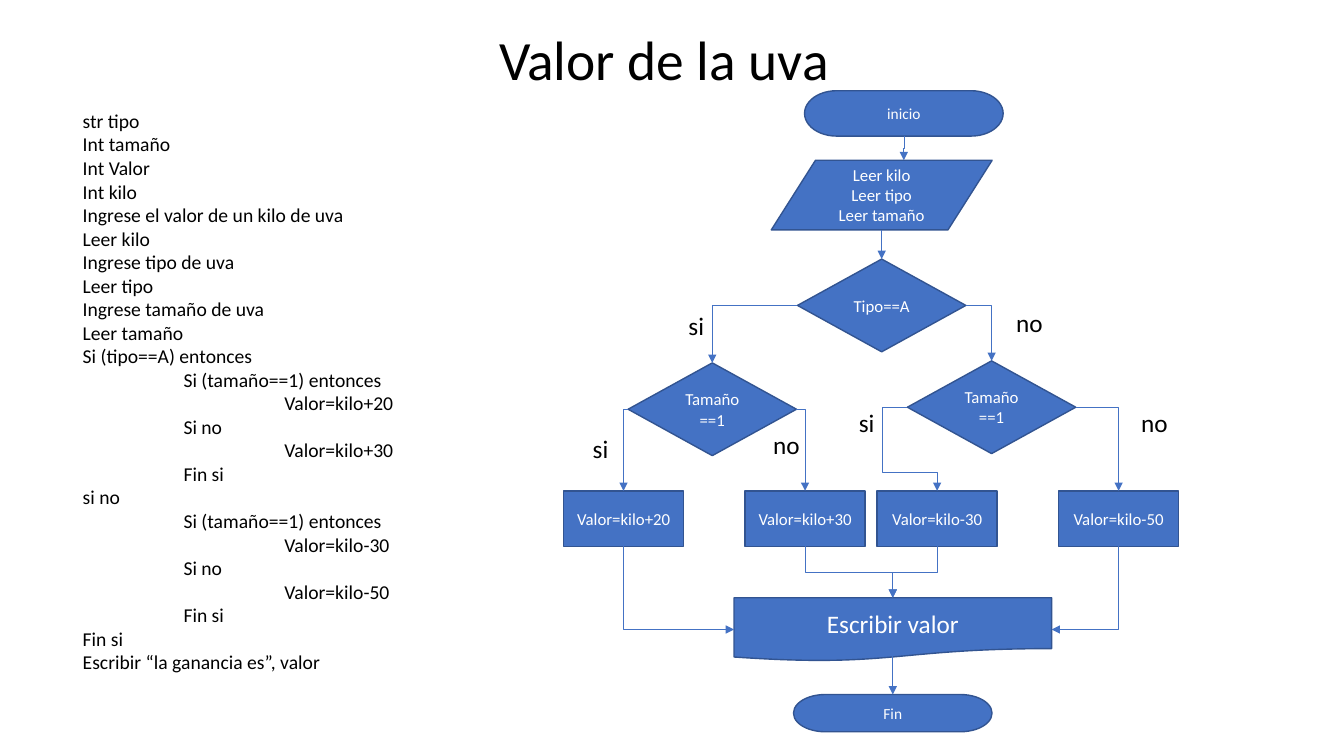
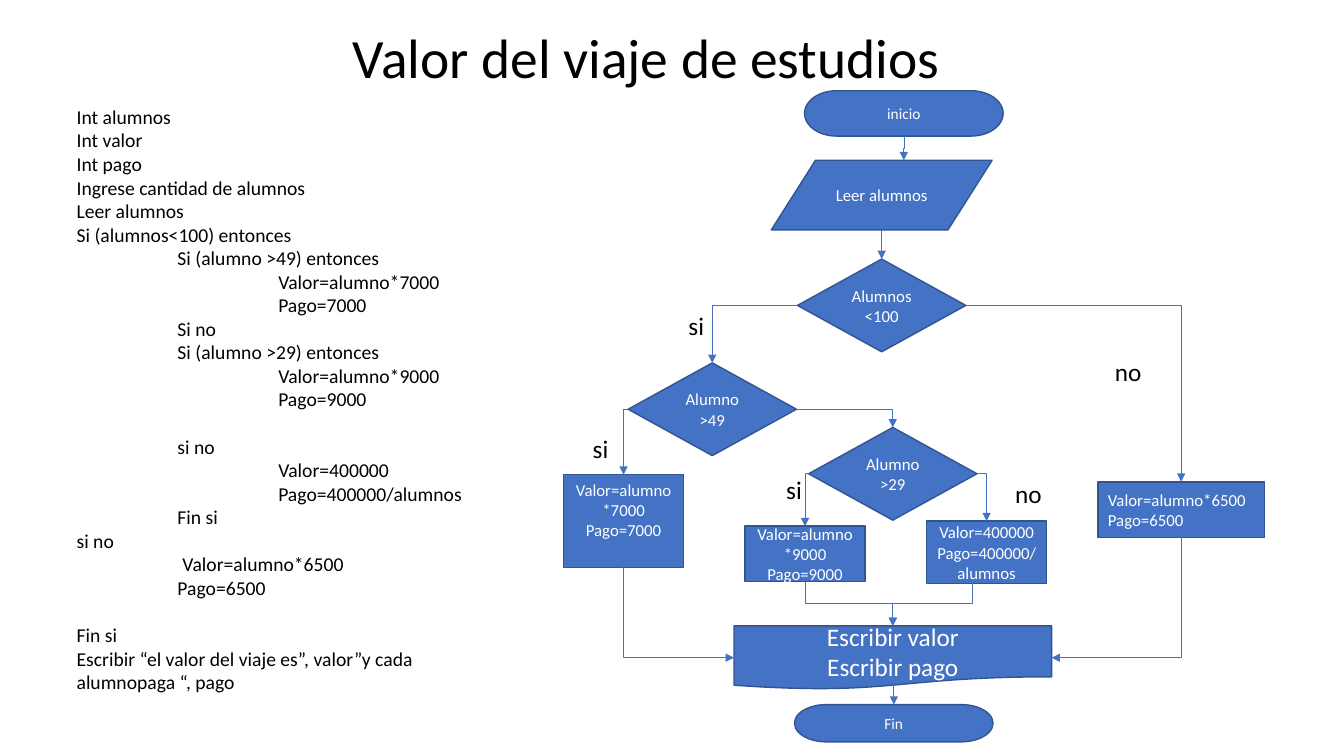
import dataclasses

import lxml.etree
import pptx
import pptx.dml.color
import pptx.enum.shapes
import pptx.enum.text
import pptx.oxml.ns
import pptx.util

Inches = pptx.util.Inches
Pt = pptx.util.Pt
RGB = pptx.dml.color.RGBColor
qn = pptx.oxml.ns.qn
SHAPE = pptx.enum.shapes.MSO_SHAPE
CONNECTOR = pptx.enum.shapes.MSO_CONNECTOR
ALIGN = pptx.enum.text.PP_ALIGN
ANCHOR = pptx.enum.text.MSO_ANCHOR
FIT = pptx.enum.text.MSO_AUTO_SIZE


@dataclasses.dataclass(frozen=True)
class Theme:
    font: str = "Calibri"
    ink: RGB = RGB(0, 0, 0)
    paper: RGB = RGB(255, 255, 255)
    fill: RGB = RGB.from_string("4472C4")
    edge: RGB = RGB.from_string("325491")
    title: float = 39.6
    code: float = 14
    label: float = 18
    edge_width: float = 1
    arrow_width: float = 0.5


theme = Theme()

kinds = {
    "start": (SHAPE.FLOWCHART_TERMINATOR, 1.97, 0.45, 11),
    "end": (SHAPE.FLOWCHART_TERMINATOR, 1.97, 0.37, 11),
    "input": (SHAPE.FLOWCHART_DATA, 2.19, 0.69, 12),
    "decision": (SHAPE.FLOWCHART_DECISION, 1.67, 0.92, 12),
    "process": (SHAPE.FLOWCHART_PROCESS, 1.19, 0.55, 12),
    "output": (SHAPE.FLOWCHART_DOCUMENT, 3.15, 0.63, 18),
}
sites = {
    "top": (0.5, 0), "left": (0, 0.5), "bottom": (0.5, 1), "right": (1, 0.5),
    "slant top": (0.6, 0), "wave": (0.5, 0.92), "lower": (0.38, 0.97),
}
presets = {"corner": "bentConnector2", "drop": "bentConnector2",
           "step": "bentConnector3", "detour": "bentConnector4"}
detour_bends = {"adj1": -84700, "adj2": 77600}

shared_links = [
    ("start", "bottom", "read", "slant top", "step"),
    ("read", "bottom", "first", "top", "straight"),
    ("first", "left", "second", "top", "corner"),
    ("second", "left", "far left", "top", "corner"),
    ("far left", "bottom", "write", "left", "drop"),
    ("far right", "bottom", "write", "right", "drop"),
    ("mid left", "bottom", "write", "top", "step"),
    ("write", "wave", "end", "top", "step"),
]

slides = [
    {
        "title": ("Valor de la uva", 4.85, 0.4, 3.64, 0.45),
        "code_at": (0.72, 1.03, 3.81, 6.24),
        "code": [
            (0, "str tipo"), (0, "Int tamaño"), (0, "Int Valor"), (0, "Int kilo"),
            (0, "Ingrese el valor de un kilo de uva"), (0, "Leer kilo"),
            (0, "Ingrese tipo de uva"), (0, "Leer tipo"),
            (0, "Ingrese tamaño de uva"), (0, "Leer tamaño"),
            (0, "Si (tipo==A) entonces"),
            (1, "Si (tamaño==1) entonces"), (2, "Valor=kilo+20"),
            (1, "Si no"), (2, "Valor=kilo+30"), (1, "Fin si"),
            (0, "si no"),
            (1, "Si (tamaño==1) entonces"), (2, "Valor=kilo-30"),
            (1, "Si no"), (2, "Valor=kilo-50"), (1, "Fin si"),
            (0, "Fin si"), (0, "Escribir “la ganancia es”, valor"),
        ],
        "nodes": {
            "start": ("start", 7.98, 0.9, ["inicio"], {}),
            "read": ("input", 7.65, 1.59, ["Leer kilo", "Leer tipo", "Leer tamaño"], {}),
            "first": ("decision", 7.91, 2.57, ["Tipo==A"], {}),
            "second": ("decision", 6.23, 3.6, ["Tamaño ==1"], {}),
            "third": ("decision", 9, 3.58, ["Tamaño ==1"], {}),
            "far left": ("process", 5.59, 4.87, ["Valor=kilo+20"], {}),
            "mid left": ("process", 7.39, 4.87, ["Valor=kilo+30"], {}),
            "mid right": ("process", 8.7, 4.87, ["Valor=kilo-30"], {}),
            "far right": ("process", 10.5, 4.87, ["Valor=kilo-50"], {}),
            "write": ("output", 7.28, 5.93, ["Escribir valor"], {}),
            "end": ("end", 7.87, 6.89, ["Fin"], {}),
        },
        "links": [
            ("first", "right", "third", "top", "corner"),
            ("second", "right", "mid left", "top", "corner"),
            ("third", "left", "mid right", "top", "detour"),
            ("third", "right", "far right", "top", "corner"),
            ("mid right", "bottom", "write", "top", "step"),
        ],
        "labels": [
            ("si", 6.73, 3.03), ("si", 5.78, 4.25), ("si", 8.42, 3.99),
            ("no", 9.98, 3), ("no", 7.57, 4.21), ("no", 11.22, 3.99),
        ],
    },
    {
        "title": ("Valor del viaje de estudios", 3.4, 0.38, 7.03, 0.45),
        "code_at": (0.66, 0.99, 4.37, 6.24),
        "code": [
            (0, "Int alumnos"), (0, "Int valor"), (0, "Int pago"),
            (0, "Ingrese cantidad de alumnos"), (0, "Leer alumnos"),
            (0, "Si (alumnos<100) entonces"),
            (1, "Si (alumno >49) entonces"), (2, "Valor=alumno*7000"), (2, "Pago=7000"),
            (1, "Si no"),
            (1, "Si (alumno >29) entonces"), (2, "Valor=alumno*9000"), (2, "Pago=9000"),
            (1, "si no", 17), (2, "Valor=400000"), (2, "Pago=400000/alumnos"),
            (1, "Fin si"), (0, "si no"),
            (1.05, "Valor=alumno*6500"), (1, "Pago=6500"),
            (0, "Fin si", 17),
            (0, "Escribir “el valor del viaje es”, valor”y cada alumnopaga “, pago"),
        ],
        "nodes": {
            "start": ("start", 7.98, 0.9, ["inicio"], {}),
            "read": ("input", 7.65, 1.59, ["Leer alumnos"], {}),
            "first": ("decision", 7.91, 2.57, ["Alumnos<100"], {}),
            "second": ("decision", 6.23, 3.6, ["Alumno >49"], {}),
            "third": ("decision", 8.02, 4.24, ["Alumno >29"], {}),
            "far left": ("process", 5.59, 4.71, ["Valor=alumno*7000 Pago=7000"],
                         {"height": 0.92, "anchor": ANCHOR.TOP}),
            "mid left": ("process", 7.39, 5.22, ["Valor=alumno*9000", "Pago=9000"], {}),
            "mid right": ("process", 9.19, 5.17, ["Valor=400000", "Pago=400000/alumnos"],
                          {"height": 0.62}),
            "far right": ("process", 10.89, 4.78, ["Valor=alumno*6500", "Pago=6500"],
                          {"width": 1.65, "align": ALIGN.LEFT}),
            "write": ("output", 7.28, 6.21, ["Escribir valor", "Escribir pago"], {}),
            "end": ("end", 7.88, 6.99, ["Fin"], {}),
        },
        "links": [
            ("first", "right", "far right", "top", "corner"),
            ("second", "right", "third", "top", "corner"),
            ("third", "left", "mid left", "top", "corner"),
            ("third", "right", "mid right", "top", "corner"),
            ("mid right", "lower", "write", "top", "step"),
        ],
        "labels": [
            ("si", 6.73, 3.03), ("si", 5.78, 4.25), ("si", 7.7, 4.66),
            ("no", 9.97, 4.7), ("no", 10.96, 3.49),
        ],
    },
]


def place(box, *lengths):
    for name, length in zip(("left", "top", "width", "height"), lengths):
        setattr(box, name, Inches(length))


def write(frame, lines, size, color, frame_format, para_format):
    for name, value in frame_format.items():
        setattr(frame, name, value)
    frame.text = "\n".join(lines)
    for para in frame.paragraphs:
        for name, value in para_format.items():
            setattr(para, name, value)
        for span in para.runs:
            for name, value in {"name": theme.font, "size": Pt(size)}.items():
                setattr(span.font, name, value)
            span.font.color.rgb = color


deck = pptx.Presentation()
deck.slide_width, deck.slide_height = Inches(13.33), Inches(7.5)

for content in slides:
    page = deck.slides.add_slide(deck.slide_layouts[1])
    heading, *heading_at = content["title"]
    place(page.shapes.title, *heading_at)
    write(page.shapes.title.text_frame, [heading], theme.title, theme.ink,
          {"word_wrap": True, "auto_size": FIT.NONE, "vertical_anchor": ANCHOR.MIDDLE},
          {"alignment": ALIGN.LEFT, "line_spacing": 0.9})

    body = page.placeholders[1]
    place(body, *content["code_at"])
    write(body.text_frame, [row[1] for row in content["code"]], theme.code, theme.ink,
          {"word_wrap": True, "auto_size": FIT.NONE, "vertical_anchor": ANCHOR.TOP},
          {"alignment": ALIGN.LEFT, "line_spacing": 1.0})
    for para, (indent, line, *gap) in zip(body.text_frame.paragraphs, content["code"]):
        para.space_before = Pt(gap[0] if gap else 0)
        properties = para._p.get_or_add_pPr()
        properties.set("marL", str(Inches(indent)))
        properties.set("indent", "0")
        lxml.etree.SubElement(properties, qn("a:buNone"))

    boxes = {}
    for name, (kind, left, top, lines, options) in content["nodes"].items():
        preset, width, height, size = kinds[kind]
        width, height = options.get("width", width), options.get("height", height)
        box = page.shapes.add_shape(preset, Inches(left), Inches(top),
                                    Inches(width), Inches(height))
        box.shadow.inherit = False
        box.fill.solid()
        box.fill.fore_color.rgb = theme.fill
        box.line.color.rgb = theme.edge
        box.line.width = Pt(theme.edge_width)
        write(box.text_frame, lines, size, theme.paper,
              {"word_wrap": True, "vertical_anchor": options.get("anchor", ANCHOR.MIDDLE)},
              {"alignment": options.get("align", ALIGN.CENTER)})
        boxes[name] = box

    for source, source_site, target, target_site, route in shared_links + content["links"]:
        (x1, y1), (x2, y2) = [
            (int(box.left + box.width * across), int(box.top + box.height * down))
            for box, (across, down) in ((boxes[source], sites[source_site]),
                                        (boxes[target], sites[target_site]))
        ]
        style = CONNECTOR.STRAIGHT if route == "straight" else CONNECTOR.ELBOW
        arrow = page.shapes.add_connector(style, x1, y1, x2, y2)
        arrow.line.color.rgb = theme.fill
        arrow.line.width = Pt(theme.arrow_width)
        properties = arrow.element.spPr
        geometry = properties.find(qn("a:prstGeom"))
        if route in presets:
            geometry.set("prst", presets[route])
        if route in ("drop", "step"):
            run, fall = abs(x2 - x1), y2 - y1
            arrow.left, arrow.top = (x1 + x2 - fall) // 2, (y1 + y2 - run) // 2
            arrow.width, arrow.height = fall, run
            frame = properties.find(qn("a:xfrm"))
            rightward = x2 > x1
            frame.set("rot", str((270 if rightward else 90) * 60000))
            frame.set("flipH", "1" if rightward else "0")
        if route == "detour":
            bends = geometry.find(qn("a:avLst"))
            if bends is None:
                bends = lxml.etree.SubElement(geometry, qn("a:avLst"))
            for name, value in detour_bends.items():
                lxml.etree.SubElement(bends, qn("a:gd"), name=name, fmla=f"val {value}")
        lxml.etree.SubElement(properties.find(qn("a:ln")), qn("a:tailEnd"), type="triangle")
        lxml.etree.SubElement(properties, qn("a:effectLst"))

    for word, left, top in content["labels"]:
        label = page.shapes.add_textbox(Inches(left), Inches(top),
                                        Inches(0.36 if word == "si" else 0.47), Inches(0.4))
        write(label.text_frame, [word], theme.label, theme.ink,
              {"word_wrap": False, "auto_size": FIT.SHAPE_TO_FIT_TEXT},
              {"alignment": ALIGN.LEFT})

deck.save("out.pptx")
